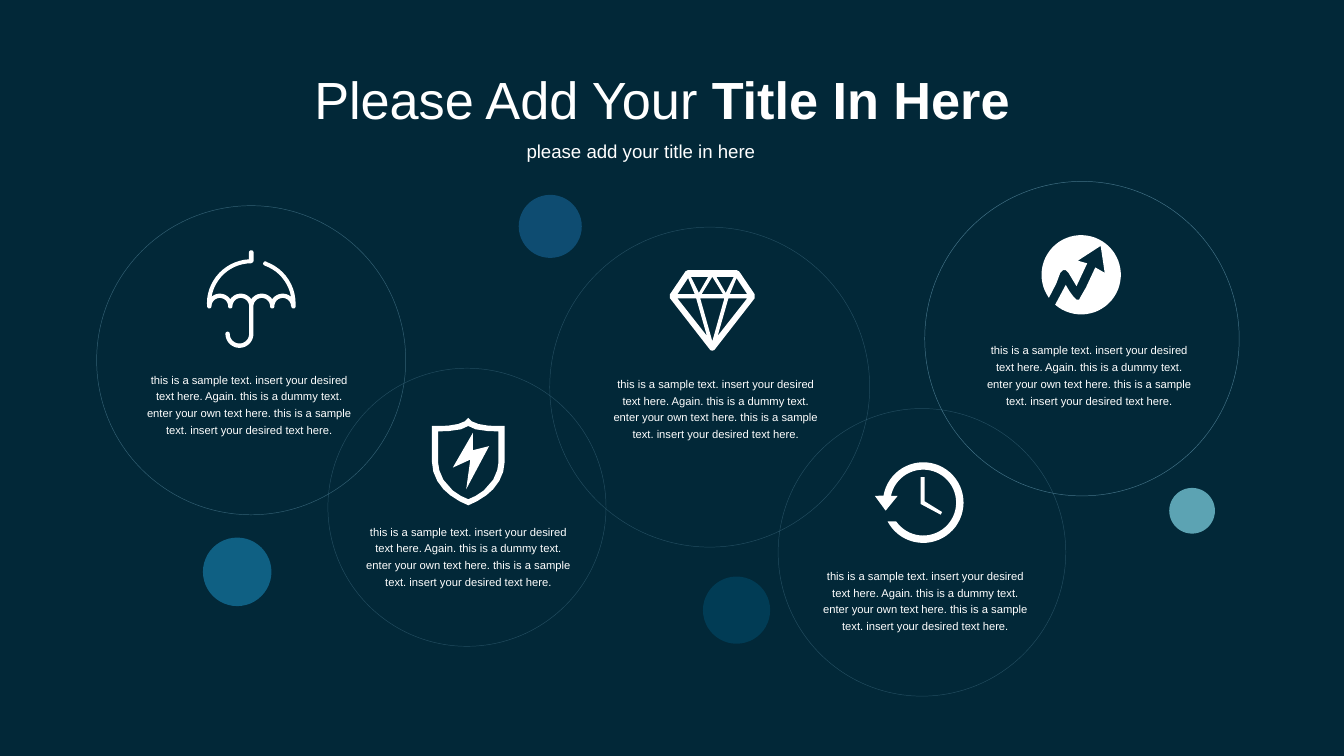
from math import cos, radians, sin

from lxml import etree
from pptx import Presentation
from pptx.dml.color import RGBColor
from pptx.enum import shapes as kinds, text as txt
from pptx.oxml import ns
from pptx.util import Pt

NAVY = RGBColor(0x02, 0x28, 0x38)
WHITE = RGBColor(0xFF, 0xFF, 0xFF)
RING_BLUE = RGBColor(0xA4, 0xE2, 0xFE)
DOT_BLUE = RGBColor(0x16, 0x62, 0x93)
DOT_CYAN = RGBColor(0x91, 0xEC, 0xFB)
DOT_TEAL = RGBColor(0x01, 0x48, 0x66)
DOT_AZURE = RGBColor(0x18, 0x81, 0xB0)

FONT = "Arial"
ICON_UNIT = 0.72
SAMPLE = ("this is a sample text. insert your desired text here. Again. "
          "this is a dummy text. enter your own text here. "
          "this is a sample text. insert your desired text here.")


def set_opacity(fill, percent):
    color = fill._xPr.find(".//" + ns.qn("a:srgbClr"))
    etree.SubElement(color, ns.qn("a:alpha")).set("val", str(percent * 1000))


def add_circle(shapes, left, top, diameter):
    circle = shapes.add_shape(kinds.MSO_SHAPE.OVAL, Pt(left), Pt(top),
                              Pt(diameter), Pt(diameter))
    circle.shadow.inherit = False
    return circle


def add_dot(shapes, left, top, diameter, color):
    dot = add_circle(shapes, left, top, diameter)
    dot.fill.solid()
    dot.fill.fore_color.rgb = color
    set_opacity(dot.fill, 63)
    dot.line.fill.background()


def add_ring(shapes, left, top, diameter, opacity):
    ring = add_circle(shapes, left, top, diameter)
    ring.fill.background()
    ring.line.width = Pt(0.25)
    ring.line.color.rgb = RING_BLUE
    set_opacity(ring.line.fill, opacity)


def add_text(shapes, box, runs, size, wrap=False, align=None, spacing=None):
    frame = shapes.add_textbox(*map(Pt, box)).text_frame
    frame.word_wrap = wrap
    frame.auto_size = txt.MSO_AUTO_SIZE.SHAPE_TO_FIT_TEXT
    paragraph = frame.paragraphs[0]
    paragraph.alignment = align
    if spacing:
        paragraph.line_spacing = Pt(spacing)
    for words, bold in runs:
        run = paragraph.add_run()
        run.text = words
        run.font.name = FONT
        run.font.size = Pt(size)
        run.font.bold = bold
        run.font.color.rgb = WHITE


def add_icon(shapes, left, top, contours):
    placed = [[(Pt(left + x * ICON_UNIT), Pt(top + y * ICON_UNIT))
               for x, y in contour] for contour in contours]
    builder = shapes.build_freeform(*placed[0][0], scale=1.0)
    builder.add_line_segments(placed[0][1:], close=True)
    for contour in placed[1:]:
        builder.move_to(*contour[0])
        builder.add_line_segments(contour[1:], close=True)
    icon = builder.convert_to_shape()
    icon.shadow.inherit = False
    icon.fill.solid()
    icon.fill.fore_color.rgb = WHITE
    icon.line.fill.background()


def arc(cx, cy, radius, start, end):
    steps = max(6, int(abs(end - start) / 6))
    angles = [radians(start + (end - start) * i / steps)
              for i in range(steps + 1)]
    return [(cx + radius * cos(a), cy + radius * sin(a)) for a in angles]


def mirrored(half, axis):
    return [(2 * axis - x, y) for x, y in reversed(half)]


def umbrella():
    scallops = [9.6 + 15.6 * i for i in range(4)]
    outline = arc(33, 2, 1.7, 180, 360) + arc(33, 8, 1.7, 0, 90)
    outline += arc(33, 40, 30, 270, 190)
    for center, start, end in zip(scallops, (229, 214, 214, 214),
                                  (326, 326, 326, 311)):
        outline += arc(center, 42, 9.4, start, end)
    outline += arc(33, 40, 30, -10, -70) + arc(43.5, 10.2, 1.6, 120, 300)
    outline += arc(33, 40, 33, -71, 0) + arc(64.4, 42, 1.6, 0, 180)
    for i in (3, 2, 1, 0):
        outline += arc(scallops[i], 42, 6.2, 0, -180)
        if i == 2:
            outline += arc(24.2, 62.5, 10.4, 0, 180)
            outline += arc(15.4, 62.5, 1.6, 180, 360)
            outline += arc(24.2, 62.5, 7.2, 180, 0)
        else:
            outline += arc(scallops[i] - 7.8, 42, 1.6, 0, 180)
    return [outline + arc(33, 40, 33, 180, 267)]


def shield():
    rim = [(26.5, 0), (29, 2.5), (34, 4.5), (41, 5.7), (47, 6), (53.5, 6),
           (53.5, 33), (52.5, 40), (49.5, 47), (45, 53), (40, 57.5),
           (33, 62), (26.5, 65)]
    inside = [(26.5, 6), (32, 8.5), (41, 9.8), (49, 10), (49, 33), (48, 39),
              (45, 46), (38, 54), (32, 58), (26.5, 60.5)]
    bolt = [(30, 11), (15, 37), (28, 31), (25, 53), (42, 21), (30, 24)]
    return [half + mirrored(half, 26.5) for half in (rim, inside)] + [bolt]


def diamond():
    rim = [(32, 0), (50, 0), (52, 1), (63.5, 18), (63.5, 21), (33.5, 59.5),
           (32, 60)]
    middle = [[(41, 21), (32, 53), (23, 21)], [(24, 18), (32, 5), (40, 18)]]
    right = [[(35, 5), (48, 5), (42, 17)], [(44, 21), (58, 21), (36, 49)],
             [(58, 18), (45, 18), (50, 6)]]
    left = [mirrored(facet, 32) for facet in right]
    return [rim + mirrored(rim, 32)] + middle + right + left


def clock():
    dial = [(0, 25), (8, 36), (17, 25), (12, 25)]
    dial += arc(36, 30, 24.5, 191, 505) + arc(36, 30, 30, 512, 190)
    hands = [(34, 11), (34, 31), (49, 39), (50, 37), (37, 29), (37, 11)]
    return [dial, hands]


def growth():
    arrow = [(11, 36), (14, 28), (16, 26), (18, 26), (20, 28), (26, 38),
             (34, 21), (27, 19), (44, 8), (47, 28), (40, 24), (33, 39),
             (29, 46), (28, 48), (26, 48), (24, 46), (21, 42), (18, 37)]
    return [arc(29.5, 29.5, 29.5, 131, -215.5) + arrow]


def add_topic(slide, ring, icon_at, contours, text_at):
    shapes = slide.shapes.add_group_shape().shapes
    add_ring(shapes, *ring)
    add_icon(shapes, *icon_at, contours)
    add_text(shapes, (*text_at, 127.4, 43.9), [(SAMPLE, None)], size=6,
             wrap=True, align=txt.PP_ALIGN.CENTER, spacing=9)


def main():
    deck = Presentation()
    deck.slide_width, deck.slide_height = Pt(720), Pt(405)
    slide = deck.slides.add_slide(deck.slide_layouts[6])
    slide.background.fill.solid()
    slide.background.fill.fore_color.rgb = NAVY

    add_text(slide.shapes, (161.3, 32.4, 391.7, 41),
             [("Please Add Your ", None), ("Title In Here", True)], size=28)
    add_text(slide.shapes, (275, 71.3, 137.5, 19.4),
             [("please add your title in here", None)], size=10)

    for dot in ((277.9, 104.4, 33.8, DOT_BLUE),
                (626.4, 261.4, 24.5, DOT_CYAN),
                (376.6, 308.9, 36, DOT_TEAL),
                (108.7, 288, 36.7, DOT_AZURE)):
        add_dot(slide.shapes, *dot)

    topics = (
        ((51.8, 110.2, 165.6, 30), (110.9, 133.9), umbrella(), (69.8, 194.4)),
        ((175.7, 197.3, 149, 20), (231.8, 223.9), shield(), (187.2, 275.8)),
        ((294.5, 121.7, 171.4, 20), (358.6, 144.7), diamond(), (319.7, 196.6)),
        ((416.9, 218.9, 154.1, 20), (468.7, 247.7), clock(), (432, 299.5)),
        ((495.4, 97.2, 168.5, 40), (558, 126), growth(), (519.8, 178.6)),
    )
    for topic in topics:
        add_topic(slide, *topic)

    deck.save("out.pptx")


if __name__ == "__main__":
    main()
